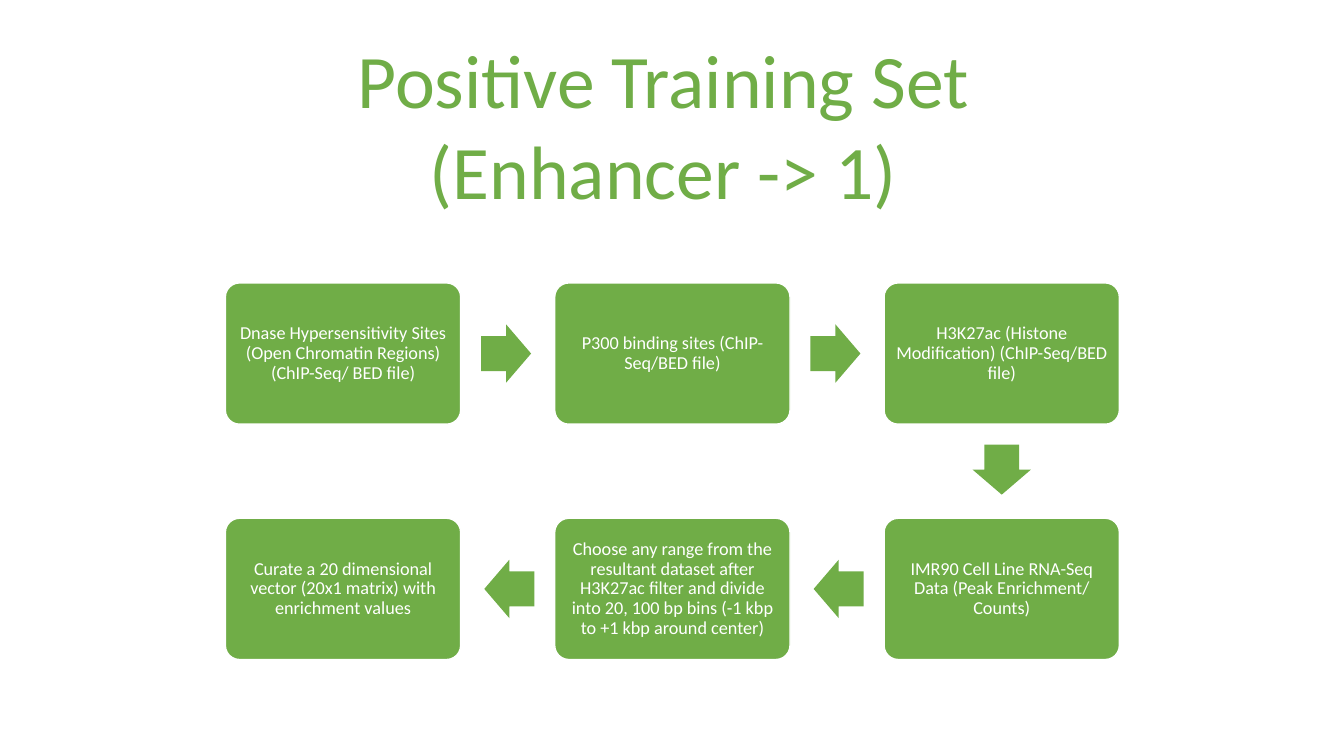
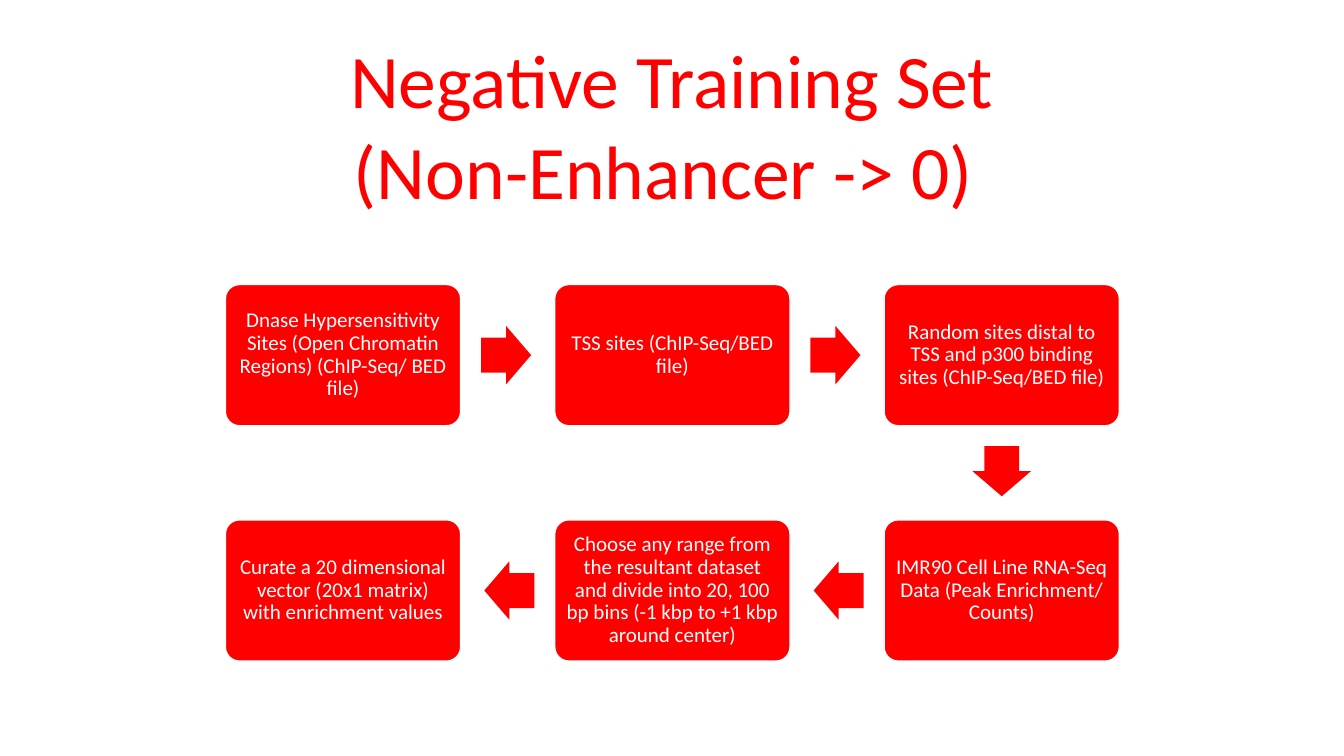
from itertools import pairwise
from math import atan2, degrees

from pptx import Presentation
from pptx.dml.color import RGBColor
from pptx.enum.shapes import MSO_SHAPE as SHAPE
from pptx.enum.text import MSO_ANCHOR as ANCHOR, MSO_AUTO_SIZE as AUTO, PP_ALIGN as ALIGN
from pptx.util import Cm, Pt

COLORS = {"positive": "70AD47", "negative": "FF0000", "white": "FFFFFF"}
FONT = "Calibri"
SLIDE_W, SLIDE_H = 33.87, 19.05
TITLE = {"top": 0.71, "width": 17, "height": 4.88, "size": 54}

# Flow grid, in cm
LEFT, BOX_W, BOX_H = 5.68, 5.93, 3.56
PITCH_X, PITCH_Y = 8.3, 5.93
ARROW_W, ARROW_H, ARROW_SHIFT = 1.26, 1.47, 0.04
SNAKE = [(0, 0), (1, 0), (2, 0), (2, 1), (1, 1), (0, 1)]

OPEN_SITES = "Dnase Hypersensitivity Sites (Open Chromatin Regions) (ChIP-Seq/ BED file)"
CELL_LINE = "IMR90 Cell Line RNA-Seq Data (Peak Enrichment/ Counts)"
BINS = "and divide into 20, 100 bp bins (-1 kbp to +1 kbp around center)"
VECTOR = "Curate a 20 dimensional vector (20x1 matrix) with enrichment values"

SLIDES = [
    {
        "title": ["Positive Training Set ", "(Enhancer -> 1) "],
        "color": "positive", "top": 7.13, "size": 13,
        "steps": [
            OPEN_SITES,
            "P300 binding sites (ChIP-Seq/BED file)",
            "H3K27ac (Histone Modification) (ChIP-Seq/BED file)",
            CELL_LINE,
            f"Choose any range from the resultant dataset after H3K27ac filter {BINS}",
            VECTOR,
        ],
    },
    {
        "title": ["Negative Training Set ", "(Non-Enhancer -> 0) "],
        "color": "negative", "top": 7.17, "size": 15,
        "steps": [
            OPEN_SITES,
            "TSS sites (ChIP-Seq/BED file)",
            "Random sites distal to TSS and p300 binding sites (ChIP-Seq/BED file)",
            CELL_LINE,
            f"Choose any range from the resultant dataset {BINS}",
            VECTOR,
        ],
    },
]


def rgb(name):
    return RGBColor.from_string(COLORS[name])


def set_attrs(obj, **values):
    for name, value in values.items():
        setattr(obj, name, value)


def write(p, text, size, color):
    p.alignment = ALIGN.CENTER
    r = p.add_run()
    r.text = text
    set_attrs(r.font, name=FONT, size=Pt(size))
    r.font.color.rgb = rgb(color)


def add_title(s, lines, color):
    left = (SLIDE_W - TITLE["width"]) / 2
    box = s.shapes.add_textbox(Cm(left), Cm(TITLE["top"]), Cm(TITLE["width"]), Cm(TITLE["height"]))
    tf = box.text_frame
    set_attrs(tf, word_wrap=False, auto_size=AUTO.SHAPE_TO_FIT_TEXT)
    for i, line in enumerate(lines):
        p = tf.add_paragraph() if i else tf.paragraphs[0]
        write(p, line, TITLE["size"], color)


def add_centered(s, kind, center, width, height, color, adjustments):
    """Add a flat filled shape around a centre point given in cm."""
    x, y = center
    sp = s.shapes.add_shape(kind, Cm(x - width / 2), Cm(y - height / 2), Cm(width), Cm(height))
    sp.shadow.inherit = False
    sp.fill.solid()
    sp.fill.fore_color.rgb = rgb(color)
    for i, value in enumerate(adjustments):
        sp.adjustments[i] = value
    return sp


def add_step(s, center, text, size, color):
    sp = add_centered(s, SHAPE.ROUNDED_RECTANGLE, center, BOX_W, BOX_H, color, [0.1])
    sp.line.color.rgb = rgb("white")
    sp.line.width = Pt(1)
    tf = sp.text_frame
    margin = Pt(size * 0.3)
    set_attrs(tf, word_wrap=True, vertical_anchor=ANCHOR.MIDDLE, margin_left=margin,
              margin_right=margin, margin_top=margin, margin_bottom=margin)
    p = tf.paragraphs[0]
    p.line_spacing = 0.9
    write(p, text, size, color="white")


def add_arrow(s, start, end, color):
    """Point from one step to the next, set slightly nearer the first."""
    angle = atan2(end[1] - start[1], end[0] - start[0])
    distance = max(abs(b - a) for a, b in zip(start, end))
    ratio = 0.5 - ARROW_SHIFT / distance
    center = [a + (b - a) * ratio for a, b in zip(start, end)]
    sp = add_centered(s, SHAPE.RIGHT_ARROW, center, ARROW_W, ARROW_H, color, [0.6, 0.5])
    sp.line.fill.background()
    sp.rotation = degrees(angle)


def add_flow(s, steps, top, size, color):
    centers = [(LEFT + BOX_W / 2 + col * PITCH_X, top + BOX_H / 2 + row * PITCH_Y)
               for col, row in SNAKE]
    for center, text in zip(centers, steps):
        add_step(s, center, text, size, color)
    for start, end in pairwise(centers):
        add_arrow(s, start, end, color)


def main():
    prs = Presentation()
    set_attrs(prs, slide_width=Cm(SLIDE_W), slide_height=Cm(SLIDE_H))
    for item in SLIDES:
        s = prs.slides.add_slide(prs.slide_layouts[6])
        add_flow(s, item["steps"], item["top"], item["size"], item["color"])
        add_title(s, item["title"], item["color"])
    prs.save("out.pptx")


if __name__ == "__main__":
    main()
